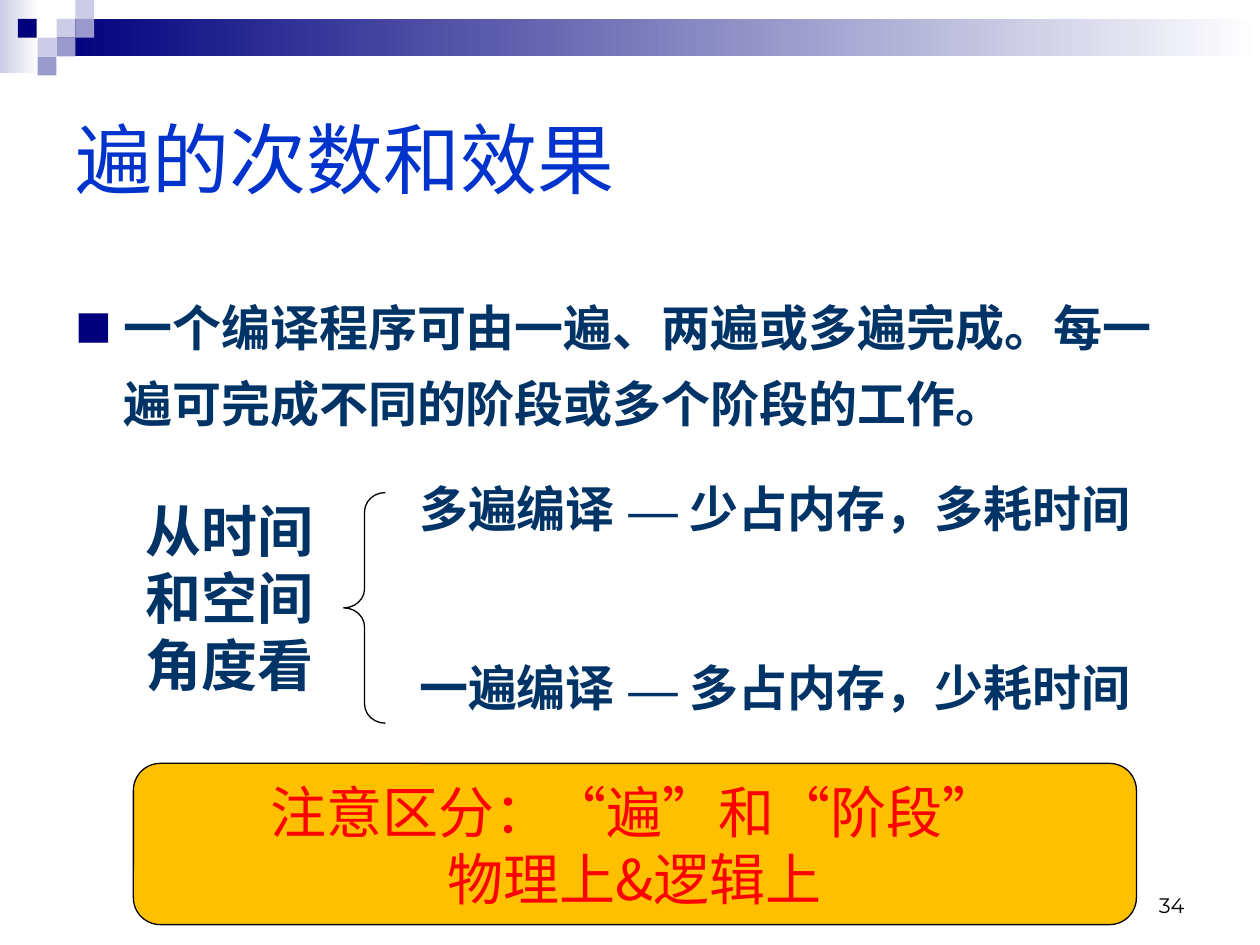
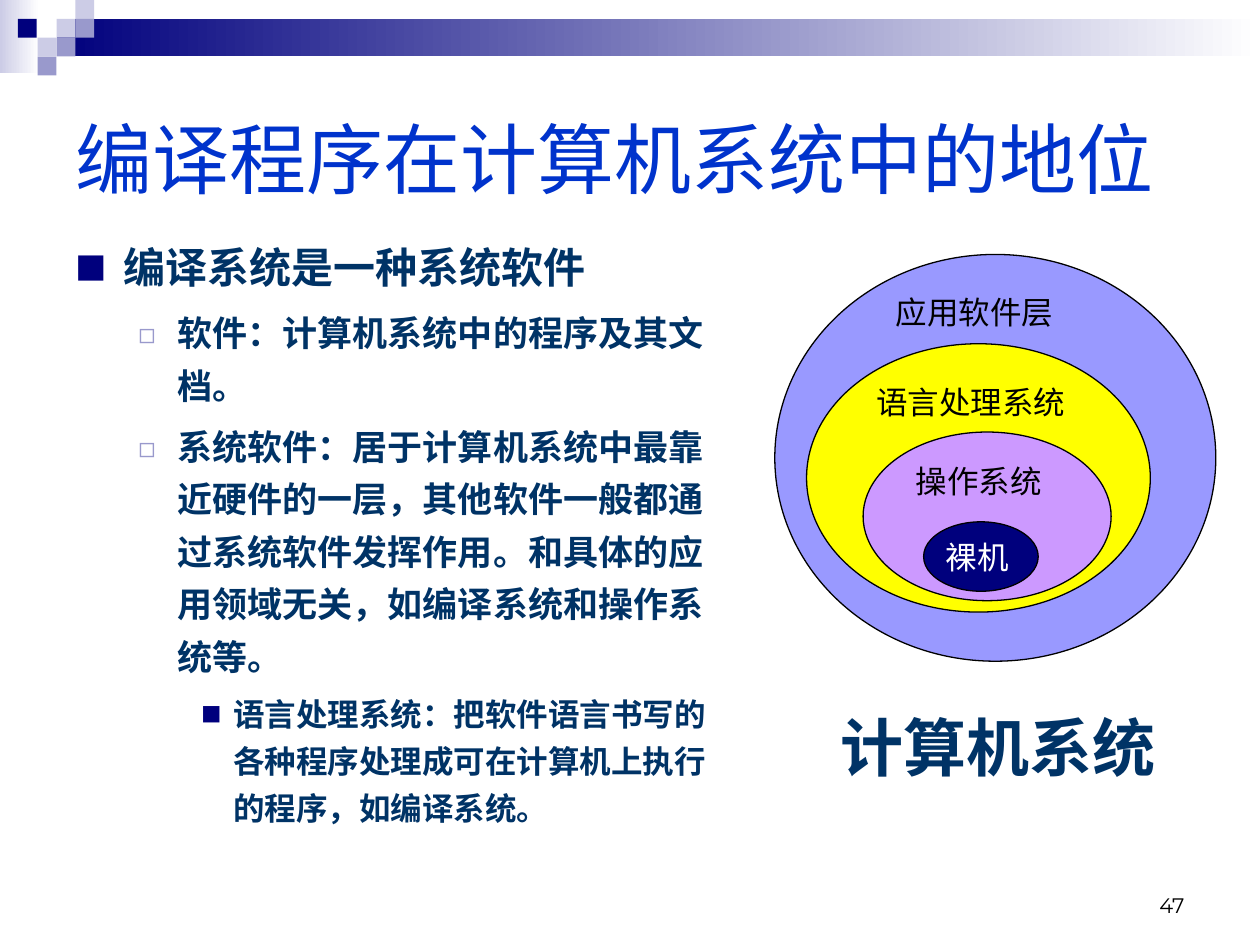
from lxml import etree
from pptx import Presentation
from pptx.dml.color import RGBColor
from pptx.enum.shapes import MSO_SHAPE
from pptx.enum.text import MSO_ANCHOR, PP_ALIGN
from pptx.oxml.ns import qn
from pptx.util import Cm, Pt

RECT = MSO_SHAPE.RECTANGLE
OVAL = MSO_SHAPE.OVAL
ROUND = MSO_SHAPE.ROUNDED_RECTANGLE
BRACE = MSO_SHAPE.LEFT_BRACE
TOP, MID, LOW = MSO_ANCHOR.TOP, MSO_ANCHOR.MIDDLE, MSO_ANCHOR.BOTTOM
LEFT, MIDDLE, RIGHT = PP_ALIGN.LEFT, PP_ALIGN.CENTER, PP_ALIGN.RIGHT

NAVY, PALE, LILAC = "00007D", "CCCCE6", "9999CC"
BLUE, INK, BLACK, WHITE = "0033CC", "003366", "000000", "FFFFFF"
SANS, HAN, SERIF, ASIAN = "Arial", "Noto Sans CJK SC", "Times New Roman", "Montserrat"

LEVELS = [
    {"left": 0.97, "hang": 0.97, "mark": "■", "tint": NAVY, "scale": 75},
    {"left": 2.06, "hang": 0.79, "mark": "◻", "tint": LILAC, "scale": 80},
    {"left": 3.18, "hang": 0.64, "mark": "■", "tint": NAVY, "scale": 65},
]


def paint(color):
    """Turn a hex string into a colour."""
    return RGBColor.from_string(color)


def assign(target, values):
    """Set each named attribute on the target."""
    for name, value in values.items():
        setattr(target, name, value)


def place(box):
    """Turn a box in centimetres into lengths."""
    return [Cm(side) for side in box]


def draw(slide, kind, box, fill=None, line=None):
    """Add a preset shape; a pair of fills makes a gradient."""
    shape = slide.shapes.add_shape(kind, *place(box))
    shape.shadow.inherit = False
    if fill is None:
        shape.fill.background()
    elif isinstance(fill, tuple):
        shape.fill.gradient()
        shape.fill.gradient_angle = 0
        for stop, color in zip(shape.fill.gradient_stops, fill):
            stop.color.rgb = paint(color)
    else:
        shape.fill.solid()
        shape.fill.fore_color.rgb = paint(fill)
    if line:
        shape.line.color.rgb = paint(line)
        shape.line.width = Pt(0.75)
    else:
        shape.line.fill.background()
    return shape


def add_run(para, text, size, color, bold=False, face=SANS, asian=ASIAN):
    """Add one styled run with its East Asian face."""
    run = para.add_run()
    run.text = text
    assign(run.font, {"size": Pt(size), "bold": bold, "name": face})
    run.font.color.rgb = paint(color)
    props = run._r.get_or_add_rPr()
    props.set("lang", "zh-CN")
    etree.SubElement(props, qn("a:ea")).set("typeface", asian)


def add_mark(para, level):
    """Give a paragraph the bullet and indent of its level."""
    look = LEVELS[level]
    props = para._p.get_or_add_pPr()
    props.set("marL", str(Cm(look["left"])))
    props.set("indent", str(-Cm(look["hang"])))
    tint = etree.SubElement(props, qn("a:buClr"))
    etree.SubElement(tint, qn("a:srgbClr")).set("val", look["tint"])
    scale = etree.SubElement(props, qn("a:buSzPct"))
    scale.set("val", str(look["scale"] * 1000))
    etree.SubElement(props, qn("a:buFont")).set("typeface", HAN)
    etree.SubElement(props, qn("a:buChar")).set("char", look["mark"])


def add_box(slide, box, anchor=TOP, wrap=True):
    """Add an empty text box and return its frame."""
    frame = slide.shapes.add_textbox(*place(box)).text_frame
    assign(frame, {"word_wrap": wrap, "vertical_anchor": anchor})
    return frame


def write(frame, rows, align=LEFT, gap=0, lead=None, **style):
    """Fill a frame with one paragraph for each row."""
    for i, row in enumerate(rows):
        para = frame.add_paragraph() if i else frame.paragraphs[0]
        assign(para, {"alignment": align, "space_before": Pt(gap)})
        if lead:
            para.line_spacing = lead
        add_run(para, row, **style)


def add_list(slide, box, lead, items):
    """Write bulleted items of level, size, gap and text."""
    frame = add_box(slide, box)
    for i, (level, size, gap, text) in enumerate(items):
        para = frame.add_paragraph() if i else frame.paragraphs[0]
        assign(para, {"level": level, "line_spacing": lead, "space_before": Pt(gap)})
        add_mark(para, level)
        add_run(para, text, size, INK, True)


def add_band(slide):
    """Draw the gradient band and its checkered corner."""
    unit = 0.38
    draw(slide, RECT, (0, 0, 0.79, 1.47), (PALE, WHITE))
    draw(slide, RECT, (3 * unit, unit, 25.4 - 3 * unit, 2 * unit), (NAVY, WHITE))
    tiles = [(3, 1, PALE), (4, 0, PALE), (4, 1, LILAC), (2, 2, PALE),
             (0.95, 1, NAVY), (3, 2, LILAC), (2, 3, LILAC)]
    for col, row, color in tiles:
        draw(slide, RECT, (col * unit, row * unit, unit, unit), color)


def add_page(deck, title, number):
    """Start a slide with band, title and number."""
    slide = deck.slides.add_slide(deck.slide_layouts[6])
    add_band(slide)
    head = add_box(slide, (1.27, 1.27, 22.86, 3.81), MID)
    write(head, [title], size=44, color=BLUE)
    foot = add_box(slide, (18.21, 17.35, 5.92, 1.27), LOW)
    write(foot, [number], RIGHT, size=12, color=BLACK, face=ASIAN)
    return slide


def add_split(slide, box):
    """Set a view beside a brace and its two cases."""
    x, y, w, h = box
    view = add_box(slide, (x, y + 0.35, 4.62, 4.32))
    write(view, ["从时间和空间角度看"], gap=20, size=32, color=INK, bold=True, face=HAN)
    brace = draw(slide, BRACE, (x + 4.24, y + 0.4, 0.84, h - 0.4), line=BLACK)
    brace.adjustments[0] = 0.46
    frame = add_box(slide, (x + 5.51, y, w - 5.51, h))
    cases = [("多遍编译 ", "少占内存，多耗时间", 17.5),
             ("一遍编译 ", "多占内存，少耗时间", 68.6)]
    for i, (name, cost, gap) in enumerate(cases):
        para = frame.add_paragraph() if i else frame.paragraphs[0]
        para.space_before = Pt(gap)
        add_run(para, name, 28, INK, True, HAN)
        add_run(para, "— ", 28, INK, True, SERIF, SERIF)
        add_run(para, cost, 28, INK, True, HAN)


def add_note(slide, box):
    """Draw the rounded reminder."""
    note = draw(slide, ROUND, box, "FFC000", BLACK)
    assign(note.text_frame, {"word_wrap": True, "vertical_anchor": TOP})
    write(note.text_frame, ["注意区分：“遍”和“阶段”", "物理上&逻辑上"], MIDDLE,
          lead=Pt(38.4), size=32, color="FF0000", face=HAN, asian=HAN)


def add_rings(slide, box):
    """Draw the nested system layers with labels and caption."""
    x, y, w, h = box
    rings = [(0, 0, w, h, "9999FF"), (0.64, 1.8, 6.93, 5.41, "FFFF00"),
             (1.78, 3.58, 5, 3.4, "CC99FF"), (3, 5.39, 2.31, 1.4, NAVY)]
    for dx, dy, wide, high, color in rings:
        draw(slide, OVAL, (x + dx, y + dy, wide, high), color, BLACK)
    names = [(2.19, 0.66, 3.68, "应用软件层", BLACK),
             (1.8, 2.46, 4.32, "语言处理系统", BLACK),
             (2.59, 4.06, 3.05, "操作系统", BLACK),
             (3.2, 5.59, 1.78, "裸机", WHITE)]
    for dx, dy, wide, name, color in names:
        frame = add_box(slide, (x + dx, y + dy, wide, 1.02), wrap=False)
        write(frame, [name], size=18, color=color)
    frame = add_box(slide, (x + 1.07, y + 9.02, 7.59, 1.78))
    write(frame, ["计算机系统"], size=36, color=INK, bold=True)


def make_passes(deck):
    """Build the slide on compiler passes."""
    slide = add_page(deck, "遍的次数和效果", "34")
    add_list(slide, (1.27, 5.51, 22.86, 4.42), 1.3, [
        (0, 28, 7, "一个编译程序可由一遍、两遍或多遍完成。每一遍可完成不同的阶段或多个阶段的工作。"),
    ])
    add_split(slide, (2.69, 9.53, 21.21, 5.05))
    add_note(slide, (2.69, 15.39, 20.22, 3.25))


def make_layers(deck):
    """Build the slide on the compiler within the system."""
    slide = add_page(deck, "编译程序在计算机系统中的地位", "47")
    add_list(slide, (1.27, 4.5, 13.82, 13.44), 1.25, [
        (0, 24, 6, "编译系统是一种系统软件"),
        (1, 20, 5, "软件：计算机系统中的程序及其文档。"),
        (1, 20, 5, "系统软件：居于计算机系统中最靠近硬件的一层，其他软件一般都通过"
                   "系统软件发挥作用。和具体的应用领域无关，如编译系统和操作系统等。"),
        (2, 18, 4.5, "语言处理系统：把软件语言书写的各种程序处理成可在计算机上执行的"
                     "程序，如编译系统。"),
    ])
    add_rings(slide, (15.62, 5.13, 8.89, 8.2))


def main():
    """Build and save the deck."""
    deck = Presentation()
    assign(deck, {"slide_width": Cm(25.4), "slide_height": Cm(19.05)})
    make_passes(deck)
    make_layers(deck)
    deck.save("out.pptx")


if __name__ == "__main__":
    main()
